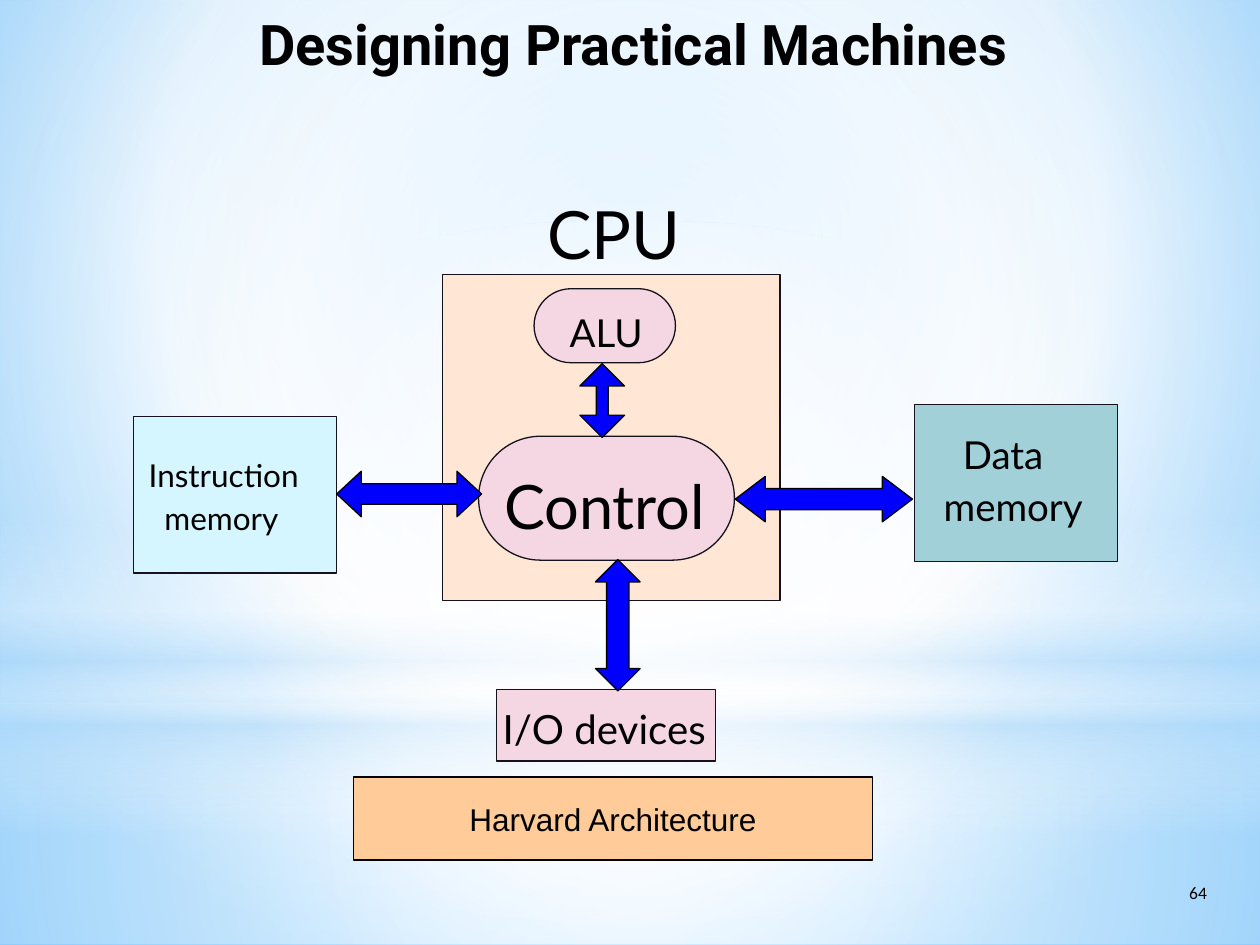
from lxml.etree import SubElement
from pptx import Presentation
from pptx.dml.color import RGBColor
from pptx.enum.shapes import MSO_SHAPE
from pptx.enum.text import MSO_ANCHOR, PP_ALIGN
from pptx.oxml.ns import qn
from pptx.util import Pt

COLORS = {
    "black": "000000", "outline": "15111D", "arrow": "0000FF",
    "unit": "F4D7E3", "cpu": "FFE6D5", "instruction": "D5F6FF",
    "data": "A2D0D9", "caption": "FFCC99",
    "white": "FFFFFF", "pale": "B4DCFA", "sky": "9ED5FF", "deep": "5BB9FF",
}

# Gradient stops: position %, colour, opacity %
BACKGROUND = [(0, "sky", 100), (60, "white", 100), (100, "deep", 100)]
CENTER = (50, 50, 50, 50)
# Backdrop layers: shape, box, stops, focus (None = vertical gradient)
LAYERS = [
    (MSO_SHAPE.RECTANGLE, (0, 402, 720, 138),
     [(0, "white", 91), (37, "white", 76), (100, "pale", 79)], CENTER),
    (MSO_SHAPE.RECTANGLE, (0, 0, 720, 402),
     [(0, "white", 89), (48, "white", 62), (100, "pale", 79)], CENTER),
    (MSO_SHAPE.RECTANGLE, (0, 296.6, 720, 180),
     [(0, "white", 0), (29, "white", 30), (45, "pale", 40),
      (55, "white", 26), (65, "pale", 60), (100, "white", 0)], None),
    (MSO_SHAPE.OVAL, (0, 126, 720, 402),
     [(0, "white", 100), (56, "white", 0)], CENTER),
]

# Blocks: shape, box, fill, adjustments
BLOCKS = [
    (MSO_SHAPE.RECTANGLE, (522.5, 231, 116.2, 90), "data", ()),
    (MSO_SHAPE.RECTANGLE, (252.8, 157, 193, 186), "cpu", ()),
    (MSO_SHAPE.RECTANGLE, (76.3, 238, 116.2, 89.5), "instruction", ()),
    (MSO_SHAPE.ROUNDED_RECTANGLE, (273.5, 249.3, 146.2, 70.8), "unit", (0.5,)),
    (MSO_SHAPE.ROUNDED_RECTANGLE, (305.2, 165, 80.8, 42.3), "unit", (0.5,)),
    (MSO_SHAPE.RECTANGLE, (283.7, 394, 125.3, 41), "unit", ()),
]
# Arrows: shape, box, (shaft, head) as shares of the arrow's thickness
ARROWS = [
    (MSO_SHAPE.LEFT_RIGHT_ARROW, (420.2, 272.2, 101.2, 26), (0.47, 0.66)),
    (MSO_SHAPE.UP_DOWN_ARROW, (340.3, 319.8, 25.5, 75), (0.47, 0.5)),
    (MSO_SHAPE.LEFT_RIGHT_ARROW, (192.4, 269.3, 82.8, 26), (0.45, 0.54)),
    (MSO_SHAPE.UP_DOWN_ARROW, (331.4, 207.8, 25.5, 42.2), (0.47, 0.27)),
]
# Labels: text, box, size
LABELS = [
    ("CPU", (312.6, 110.2, 97.2, 50.4), 38),
    ("Control", (288, 267.8, 128.2, 46.8), 35),
    ("ALU", (325.6, 176.4, 52.6, 28.8), 22),
    ("Instruction", (85, 260.6, 96.5, 25.2), 18),
    ("memory", (94, 285.1, 78.8, 25.2), 18),
    ("Data", (550.2, 246.2, 57.4, 28.8), 22),
    ("memory", (539.3, 275.8, 89.3, 28.8), 22),
    ("I/O devices", (287.3, 402.5, 124.6, 31), 23),
]


def rgb(name):
    return RGBColor.from_string(COLORS[name])


def set_gradient(owner, stops, focus):
    """Give a shape or the slide background a circular or vertical gradient."""
    owner_fill = owner.background.fill if hasattr(owner, "background") else owner.fill
    owner_fill.background()
    grad = next(owner.element.iter(qn("a:noFill")))
    grad.tag = qn("a:gradFill")
    grad.set("rotWithShape", "1")
    gs_list = SubElement(grad, qn("a:gsLst"))
    for pos, color, alpha in stops:
        gs = SubElement(gs_list, qn("a:gs"), pos=str(pos * 1000))
        clr = SubElement(gs, qn("a:srgbClr"), val=COLORS[color])
        if alpha < 100:
            SubElement(clr, qn("a:alpha"), val=str(alpha * 1000))
    if focus is None:
        SubElement(grad, qn("a:lin"), ang="5400000", scaled="0")
    else:
        circle = SubElement(grad, qn("a:path"), path="circle")
        SubElement(circle, qn("a:fillToRect"),
                   {side: str(v * 1000) for side, v in zip("ltrb", focus)})


def add_shape(kind, box, fill=None, line=None, adjustments=()):
    s = slide.shapes.add_shape(kind, *map(Pt, box))
    s.shadow.inherit = False
    for i, value in enumerate(adjustments):
        s.adjustments[i] = value
    if fill:
        s.fill.solid()
        s.fill.fore_color.rgb = rgb(fill)
    if line:
        s.line.color.rgb = rgb(line)
        s.line.width = Pt(0)
    else:
        s.line.fill.background()
    return s


def write(s, text, size, font, align=PP_ALIGN.LEFT, anchor=MSO_ANCHOR.TOP,
          bold=False, margin=0):
    tf = s.text_frame
    tf.word_wrap = False
    tf.vertical_anchor = anchor
    tf.margin_left = tf.margin_right = Pt(margin)
    tf.margin_top = tf.margin_bottom = Pt(margin / 2)
    p = tf.paragraphs[0]
    p.text, p.alignment = text, align
    p.font.size, p.font.name, p.font.bold = Pt(size), font, bold
    p.font.color.rgb = rgb("black")


def add_text(text, box, size, font, **style):
    write(slide.shapes.add_textbox(*map(Pt, box)), text, size, font, **style)


prs = Presentation()
prs.slide_width, prs.slide_height = Pt(720), Pt(540)
slide = prs.slides.add_slide(prs.slide_layouts[6])

# Backdrop
set_gradient(slide, BACKGROUND, (20, 10, 20, 60))
for kind, box, stops, focus in LAYERS:
    set_gradient(add_shape(kind, box), stops, focus)

# Title and caption
add_text("Designing Practical Machines", (136, -12.2, 440, 73.4), 32, "Roboto",
         align=PP_ALIGN.RIGHT, anchor=MSO_ANCHOR.MIDDLE, bold=True)
caption = add_shape(MSO_SHAPE.RECTANGLE, (202, 444, 296.6, 47.5), "caption", "black")
write(caption, "Harvard Architecture", 18, "Arial",
      align=PP_ALIGN.CENTER, anchor=MSO_ANCHOR.MIDDLE, margin=7.2)

# Diagram
for kind, box, fill, adjustments in BLOCKS:
    add_shape(kind, box, fill, "outline", adjustments)
for text, box, size in LABELS:
    add_text(text, box, size, "Lato")
for kind, box, adjustments in ARROWS:
    add_shape(kind, box, "arrow", "black", adjustments)

# Slide number
add_text("64", (672.5, 500.4, 44, 28.8), 10, "Calibri", margin=7.2)

prs.save("out.pptx")
